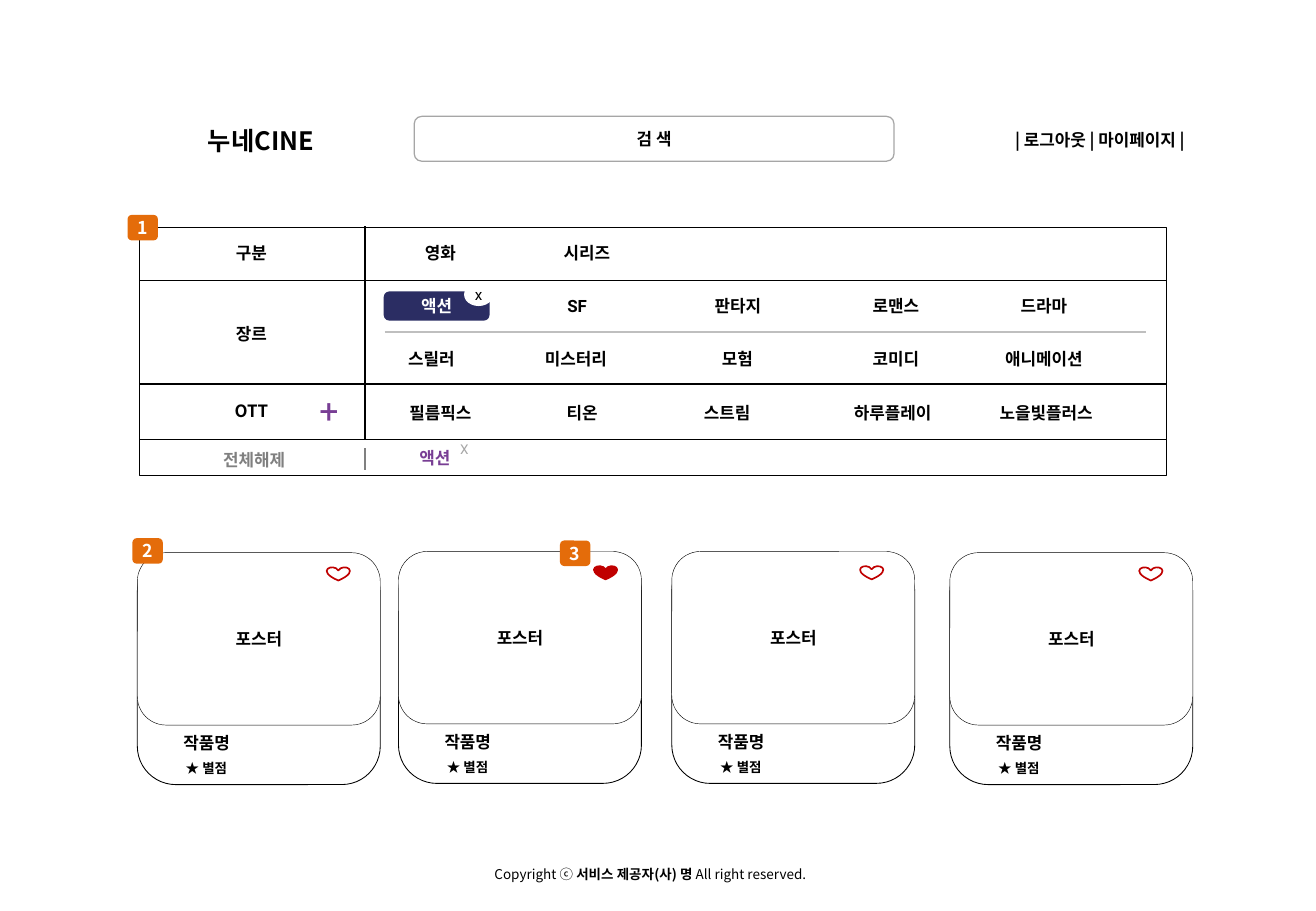
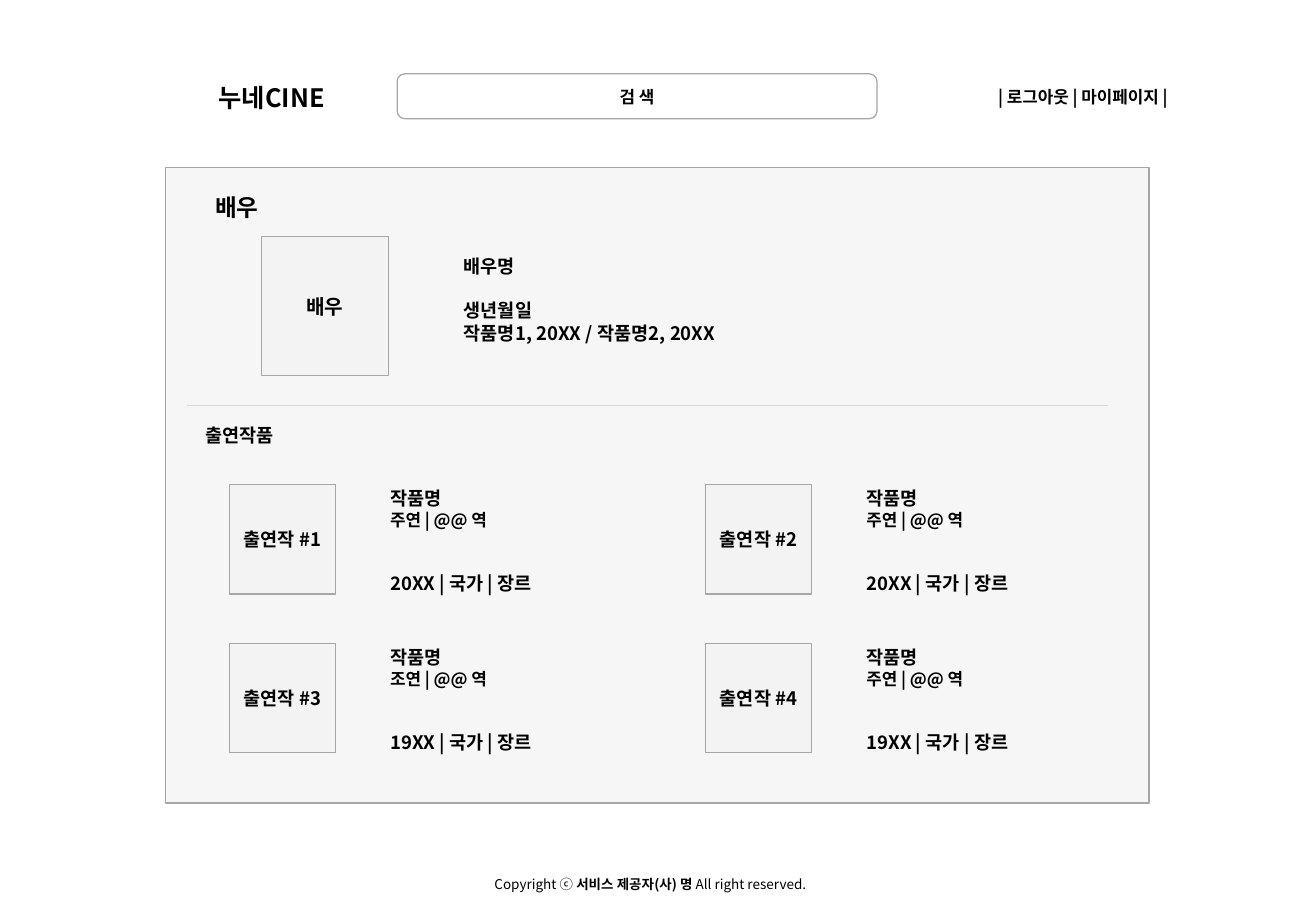
from dataclasses import dataclass
from typing import NamedTuple

from lxml.etree import SubElement
from pptx import Presentation
from pptx.dml.color import RGBColor
from pptx.enum.shapes import MSO_CONNECTOR, MSO_SHAPE as Kind
from pptx.enum.text import MSO_ANCHOR as Anchor, MSO_AUTO_SIZE, PP_ALIGN as Align
from pptx.oxml.ns import qn
from pptx.shapes.autoshape import Shape
from pptx.slide import Slide
from pptx.text.text import TextFrame
from pptx.util import Pt

COLORS = {
    "black": "000000", "white": "FFFFFF", "navy": "2B2D63", "purple": "783E94",
    "orange": "E46C0A", "red": "C00000", "panel": "F2F2F2", "border": "A6A6A6",
    "rule": "BFBFBF", "pale_rule": "D9D9D9", "muted": "808080",
}
SANS = "Noto Sans CJK KR"
ROBOTO = "Roboto"
PANEL_OPACITY = 69


class Area(NamedTuple):
    left: float
    top: float
    width: float
    height: float


@dataclass(frozen=True)
class Style:
    size: float = 10
    color: str = "black"
    bold: bool = True
    font: str = SANS


@dataclass(frozen=True)
class Line:
    spans: tuple[tuple[str, Style], ...]
    before: float = 0


class Choice(NamedTuple):
    text: str
    center: float
    top: float
    style: Style = Style()


class Card(NamedTuple):
    left: float
    top: float
    heart_offset: float
    liked: bool = False


class Badge(NamedTuple):
    text: str
    left: float
    top: float


class Work(NamedTuple):
    number: int
    role: str
    year: str


SMALL = Style(8)
PLAIN_SMALL = Style(8, bold=False)
HEADING = Style(11)

FILTER_LABELS = (
    Choice("구분", 149, 140.4),
    Choice("장르", 149, 188.6),
    Choice("OTT", 149, 234),
    Choice("전체해제", 150.6, 262.8, Style(color="muted")),
    Choice("액션", 257.8, 262, Style(color="purple")),
)
FILTER_ROWS = {
    140.4: (("영화", 261), ("시리즈", 347.8)),
    171.5: (("SF", 342), ("판타지", 437.3), ("로맨스", 531), ("드라마", 618.7)),
    203: (("스릴러", 255.7), ("미스터리", 341.3), ("모험", 437), ("코미디", 531),
          ("애니메이션", 618.7)),
    235.4: (("필름픽스", 261), ("티온", 345), ("스트림", 431), ("하루플레이", 529),
            ("노을빛플러스", 620)),
}
CARDS = (
    Card(81.4, 327.6, 112.3),
    Card(236.2, 326.9, 115.9, True),
    Card(398.2, 326.9, 111.6),
    Card(563, 327.6, 112.3),
)
BADGES = (Badge("1", 75.6, 127.4), Badge("2", 78.5, 319), Badge("3", 331.9, 320.4))
WORKS = (Work(1, "주연", "20XX"), Work(2, "주연", "20XX"),
         Work(3, "조연", "19XX"), Work(4, "주연", "19XX"))


def rgb(name: str) -> RGBColor:
    return RGBColor.from_string(COLORS[name])


def line_of(text: str, style: Style = Style(), before: float = 0) -> Line:
    return Line(((text, style),), before)


def write(frame: TextFrame, lines: tuple[Line, ...], align: Align = Align.LEFT,
          anchor: Anchor = Anchor.TOP, inset: float = 7.2) -> None:
    frame.word_wrap = True
    frame.auto_size = MSO_AUTO_SIZE.NONE
    frame.vertical_anchor = anchor
    frame.margin_left = frame.margin_right = Pt(inset)
    frame.margin_top = frame.margin_bottom = Pt(3.6)
    for index, line in enumerate(lines):
        para = frame.add_paragraph() if index else frame.paragraphs[0]
        para.alignment = align
        para.space_before = Pt(line.before)
        for text, style in line.spans:
            span = para.add_run()
            span.text = text
            span.font.name = style.font
            span.font.size = Pt(style.size)
            span.font.bold = style.bold
            span.font.color.rgb = rgb(style.color)
            SubElement(span.font._element, qn("a:ea"), typeface=style.font)


def add_text(page: Slide, area: Area, *lines: Line, align: Align = Align.LEFT,
             anchor: Anchor = Anchor.TOP) -> None:
    box = page.shapes.add_textbox(*map(Pt, area))
    write(box.text_frame, lines, align, anchor)


def add_box(page: Slide, kind: Kind, area: Area, fill: str | None = None,
            border: str | None = None, weight: float = 0.75, text: str = "",
            style: Style = Style(), inset: float = 7.2) -> Shape:
    box = page.shapes.add_shape(kind, *map(Pt, area))
    box.shadow.inherit = False
    if fill:
        box.fill.solid()
        box.fill.fore_color.rgb = rgb(fill)
    else:
        box.fill.background()
    if border:
        box.line.color.rgb = rgb(border)
        box.line.width = Pt(weight)
    else:
        box.line.fill.background()
    if text:
        write(box.text_frame, (line_of(text, style),), Align.CENTER, Anchor.MIDDLE, inset)
    return box


def add_panel(page: Slide, area: Area, text: str = "", style: Style = Style()) -> None:
    box = add_box(page, Kind.RECTANGLE, area, "panel", "border", text=text, style=style)
    color = box.fill._xPr.find(qn("a:solidFill"))[0]
    SubElement(color, qn("a:alpha"), val=str(PANEL_OPACITY * 1000))


def add_rule(page: Slide, start: tuple[float, float], end: tuple[float, float],
             color: str = "black", weight: float = 1) -> None:
    rule = page.shapes.add_connector(MSO_CONNECTOR.STRAIGHT, *map(Pt, start + end))
    rule.line.color.rgb = rgb(color)
    rule.line.width = Pt(weight)
    SubElement(rule._element.spPr, qn("a:effectLst"))


def add_header(page: Slide, logo_left: float, search_left: float, top: float) -> None:
    title = page.shapes.title
    title.left, title.top, title.width, title.height = map(
        Pt, (logo_left, top + 1.5, 90, 24.5))
    write(title.text_frame, (line_of("누네CINE", Style(15)),))
    add_box(page, Kind.ROUNDED_RECTANGLE, Area(search_left, top, 284.4, 26.6),
            border="border", text="검 색")
    add_text(page, Area(search_left + 312.5, top + 4.3, 151.2, 18.7),
             line_of("| 로그아웃 | 마이페이지 |"), align=Align.RIGHT)


def add_footer(page: Slide, top: float) -> None:
    add_text(page, Area(286, top, 208, 17), Line((
        ("Copyright ⓒ ", PLAIN_SMALL),
        ("서비스 제공자(사) 명", SMALL),
        (" All right reserved.", PLAIN_SMALL),
    )))


def add_choice(page: Slide, choice: Choice) -> None:
    width = 93
    add_text(page, Area(choice.center - width / 2, choice.top, width, 18.7),
             line_of(choice.text, choice.style), align=Align.CENTER)


def add_filter(page: Slide) -> None:
    left, right, split = 82.8, 691.2, 216.5
    add_box(page, Kind.RECTANGLE, Area(left, 134.6, right - left, 126), "white", "black", 0.25)
    add_box(page, Kind.RECTANGLE, Area(left, 260.3, right - left, 21.6), "white", "black", 0.25)
    add_rule(page, (split, 134), (split, 260.6))
    for y in (166.3, 227.5):
        add_rule(page, (left, y), (right, y))
    add_rule(page, (228.2, 197), (679, 197), "rule")
    add_rule(page, (split, 265.7), (split, 278.6), "muted")
    for choice in FILTER_LABELS:
        add_choice(page, choice)
    for top, choices in FILTER_ROWS.items():
        for text, center in choices:
            style = Style(font=ROBOTO) if text == "SF" else Style()
            add_choice(page, Choice(text, center, top, style))
    add_box(page, Kind.ROUNDED_RECTANGLE, Area(228.2, 173.5, 61.2, 15.8), "navy", "navy", 1.5,
            "액션", Style(color="white"))
    add_box(page, Kind.OVAL, Area(275.8, 168.5, 15.8, 12.2), "white", "white", 1.5,
            "x", Style(9, bold=False, font=ROBOTO), inset=0)
    add_text(page, Area(182.2, 227.5, 29.5, 30.2),
             line_of("+", Style(20, "purple", False, ROBOTO)))
    add_text(page, Area(265.7, 257.8, 23.8, 16.6),
             line_of("X", Style(8, "border", False, ROBOTO)))


def add_card(page: Slide, card: Card) -> None:
    left, top = card.left, card.top
    add_box(page, Kind.ROUNDED_RECTANGLE, Area(left, top + 0.7, 144, 136.8),
            "white", "black", 0.5)
    add_box(page, Kind.ROUNDED_RECTANGLE, Area(left, top, 144, 102.2),
            "white", "black", 0.25, "포스터")
    add_text(page, Area(left + 20.2, top + 103, 85.7, 18.7), line_of("작품명"))
    add_text(page, Area(left + 21.6, top + 119.5, 113, 16.6), line_of("★ 별점", SMALL))
    add_box(page, Kind.HEART, Area(left + card.heart_offset, top + 8.6, 13.7, 7.9),
            "red" if card.liked else "white", "red", 1)


def build_search(page: Slide) -> None:
    add_header(page, 116, 245.5, 69)
    add_filter(page)
    for card in CARDS:
        add_card(page, card)
    for badge in BADGES:
        add_box(page, Kind.ROUNDED_RECTANGLE, Area(badge.left, badge.top, 18, 15.1), "orange",
                text=badge.text, style=Style(10.5, "white"), inset=0)
    add_footer(page, 510)


def build_actor(page: Slide) -> None:
    add_header(page, 122.4, 235.4, 43.8)
    add_panel(page, Area(97.9, 99.4, 583.2, 376.6))
    add_rule(page, (111, 240.5), (656.6, 240.5), "pale_rule", 0.75)
    for text, size, left, top in (("배우", 14, 102.6, 110.9), ("출연작품", 11, 104.4, 246.2)):
        add_text(page, Area(left, top, 75.6, 23.8), line_of(text, Style(size)),
                 align=Align.CENTER, anchor=Anchor.MIDDLE)
    add_panel(page, Area(154.8, 140.4, 75.6, 82.1), "배우", Style(12))
    add_text(page, Area(267.8, 147.6, 213, 72.7),
             line_of("배우명", HEADING),
             line_of("생년월일", HEADING, 13),
             line_of("작품명1, 20XX / 작품명2, 20XX", HEADING))
    for index, work in enumerate(WORKS):
        row, column = divmod(index, 2)
        left, top = 136 + column * 282.3, 287.3 + row * 94.2
        add_panel(page, Area(left, top, 62.7, 64.8), f"출연작 #{work.number}", HEADING)
        add_text(page, Area(left + 88.2, top - 2.2, 125.3, 70.6),
                 line_of("작품명", HEADING),
                 line_of(f"{work.role} | @@ 역"),
                 line_of(f"{work.year} | 국가 | 장르", HEADING, 25))
    add_footer(page, 515.5)


def main() -> None:
    deck = Presentation()
    deck.slide_width, deck.slide_height = Pt(780), Pt(540)
    for build in (build_search, build_actor):
        build(deck.slides.add_slide(deck.slide_layouts[5]))
    deck.save("out.pptx")


if __name__ == "__main__":
    main()
